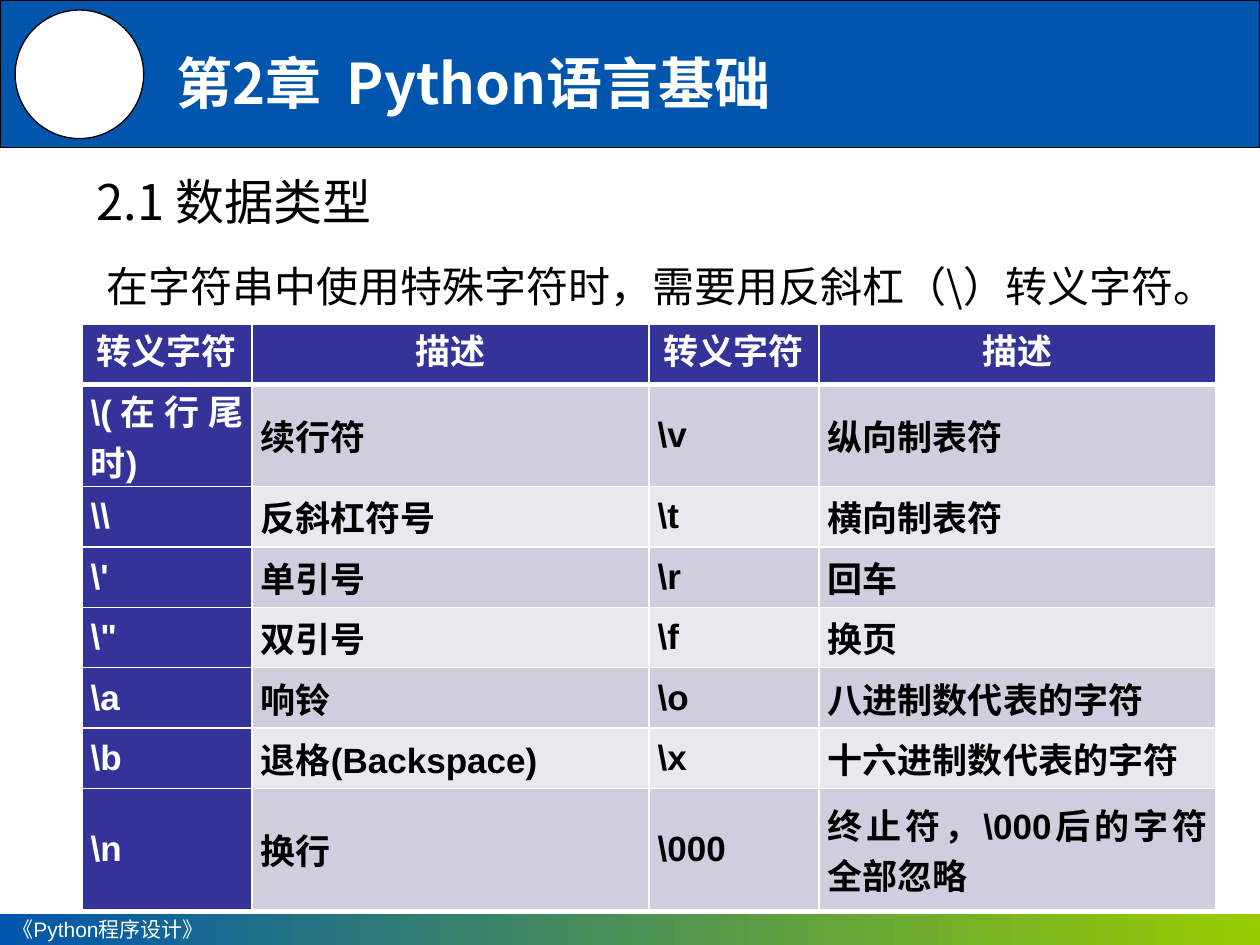
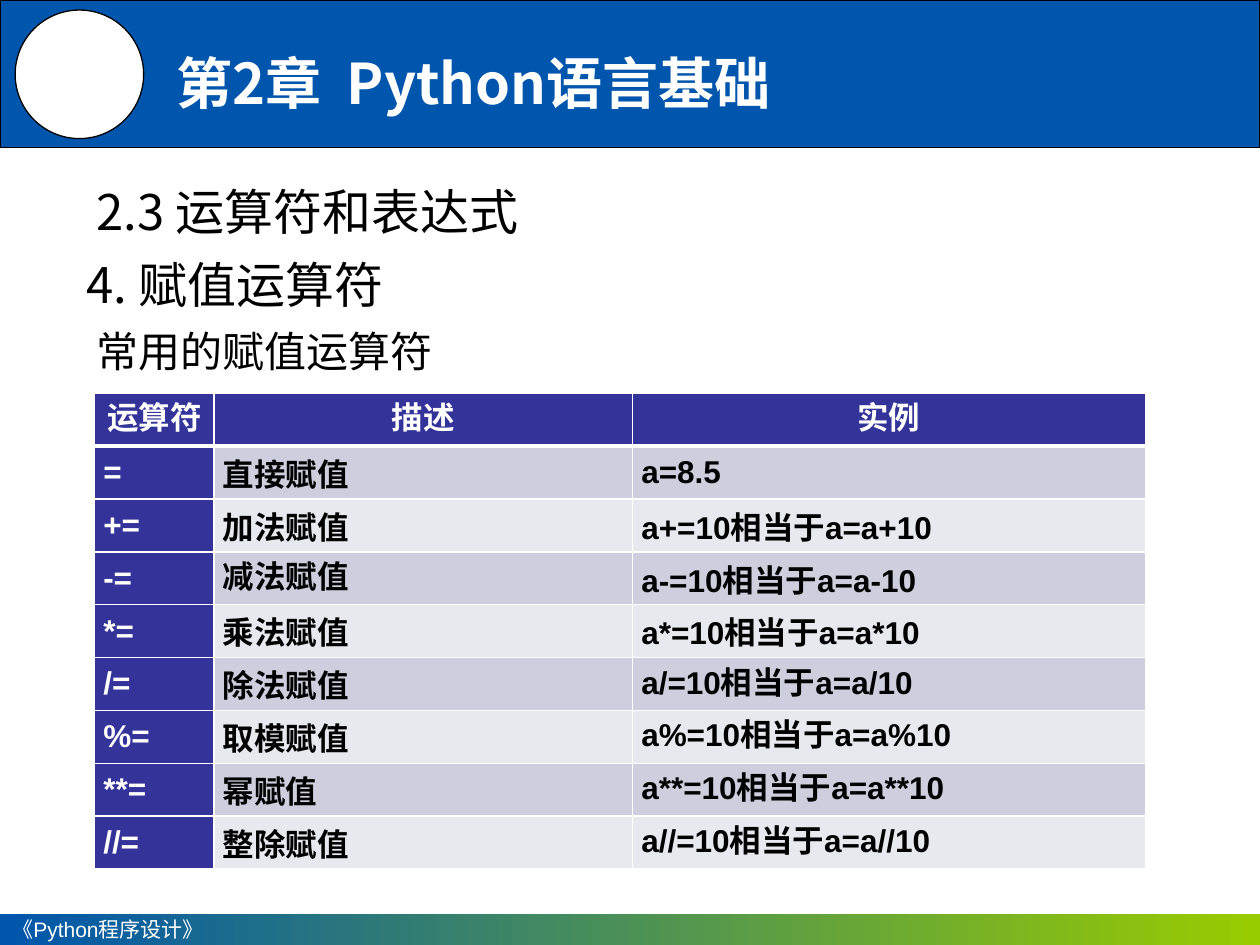
from dataclasses import dataclass

from lxml import etree
from pptx import Presentation
from pptx.dml.color import RGBColor
from pptx.enum.shapes import MSO_SHAPE
from pptx.enum.text import MSO_ANCHOR, PP_ALIGN
from pptx.oxml.ns import qn
from pptx.util import Inches, Pt

RECT, OVAL = MSO_SHAPE.RECTANGLE, MSO_SHAPE.OVAL
TOP, MIDDLE = MSO_ANCHOR.TOP, MSO_ANCHOR.MIDDLE
LEFT, CENTER, JUSTIFY = PP_ALIGN.LEFT, PP_ALIGN.CENTER, PP_ALIGN.JUSTIFY


@dataclass(frozen=True)
class Theme:
    blue: str = "0056AC"
    green: str = "99CC00"
    head: str = "333399"
    bands: tuple = ("E8E8EF", "CECEDE")
    white: str = "FFFFFF"
    black: str = "000000"
    sans: str = "Noto Sans CJK SC"
    latin: str = "Arial"
    title: int = 32
    topic: int = 28
    body: int = 24
    large: int = 20
    small: int = 18
    foot: int = 12


THEME = Theme()

ESCAPES = [
    ("转义字符", "描述", "转义字符", "描述"),
    ("\\(在行尾时)", "续行符", "\\v", "纵向制表符"),
    ("\\\\", "反斜杠符号", "\\t", "横向制表符"),
    ("\\'", "单引号", "\\r", "回车"),
    ('\\"', "双引号", "\\f", "换页"),
    ("\\a", "响铃", "\\o", "八进制数代表的字符"),
    ("\\b", "退格(Backspace)", "\\x", "十六进制数代表的字符"),
    ("\\n", "换行", "\\000", "终止符，\\000后的字符全部忽略"),
]

ASSIGNS = [
    ("运算符", "描述", "实例"),
    ("=", "直接赋值", "a=8.5"),
    ("+=", "加法赋值", "a+=10相当于a=a+10"),
    ("-=", "减法赋值", "a-=10相当于a=a-10"),
    ("*=", "乘法赋值", "a*=10相当于a=a*10"),
    ("/=", "除法赋值", "a/=10相当于a=a/10"),
    ("%=", "取模赋值", "a%=10相当于a=a%10"),
    ("**=", "幂赋值", "a**=10相当于a=a**10"),
    ("//=", "整除赋值", "a//=10相当于a=a//10"),
]
RAISED = {(3, 1), (5, 2), (6, 2), (7, 2), (8, 2)}


def color(code):
    return RGBColor.from_string(code)


def write(frame, text, size, ink, face=THEME.sans, bold=False,
          align=LEFT, pitch=None):
    para = frame.paragraphs[0]
    para.text = text
    para.alignment = align
    if pitch:
        para.line_spacing = pitch
    font = para.font
    font.name, font.size, font.bold = face, Pt(size), bold
    font.color.rgb = color(ink)
    props = para._p.pPr.find(qn("a:defRPr"))
    etree.SubElement(props, qn("a:ea")).set("typeface", THEME.sans)


def add_shape(slide, kind, box, fill):
    shape = slide.shapes.add_shape(kind, *map(Inches, box))
    shape.shadow.inherit = False
    shape.fill.solid()
    shape.fill.fore_color.rgb = color(fill)
    shape.line.color.rgb = color(THEME.black)
    shape.line.width = Pt(0.75)
    return shape


def add_text(slide, box, text, size, ink=THEME.black, anchor=TOP, **style):
    frame = slide.shapes.add_textbox(*map(Inches, box)).text_frame
    frame.word_wrap = True
    frame.vertical_anchor = anchor
    write(frame, text, size, ink, **style)


def add_footer(slide):
    bar = add_shape(slide, RECT, (0, 7.25, 10, 0.25), THEME.blue)
    bar.line.fill.background()
    bar.fill.gradient()
    bar.fill.gradient_angle = 0
    for stop, code in zip(bar.fill.gradient_stops, (THEME.blue, THEME.green)):
        stop.color.rgb = color(code)
    frame = bar.text_frame
    frame.word_wrap = True
    frame.vertical_anchor = MIDDLE
    write(frame, "《Python程序设计》", THEME.foot, THEME.white, THEME.latin)


def add_page(deck):
    slide = deck.slides.add_slide(deck.slide_layouts[6])
    add_shape(slide, RECT, (0, 0, 10, 1.17), THEME.blue)
    add_footer(slide)
    add_shape(slide, OVAL, (0.12, 0.08, 1.02, 1.02), THEME.white)
    add_text(slide, (1.3, 0.15, 6.46, 1), "第2章  Python语言基础",
             THEME.title, THEME.white, MIDDLE, bold=True)
    return slide


def add_borders(cell, row):
    props = cell._tc.get_or_add_tcPr()
    heavy = {(0, "lnB"), (1, "lnT")}
    for place, side in enumerate(("lnL", "lnR", "lnT", "lnB")):
        line = etree.Element(qn(f"a:{side}"))
        line.set("w", str(Pt(3 if (row, side) in heavy else 1)))
        fill = etree.SubElement(line, qn("a:solidFill"))
        etree.SubElement(fill, qn("a:srgbClr")).set("val", THEME.white)
        props.insert(place, line)


def fill_cell(cell, text, row, col, size, raised):
    dark = row == 0 or col == 0
    cell.margin_left = cell.margin_right = Inches(0.07)
    cell.margin_top = cell.margin_bottom = 0
    cell.vertical_anchor = TOP if row == 0 or (row, col) in raised else MIDDLE
    cell.fill.solid()
    cell.fill.fore_color.rgb = color(THEME.head if dark else THEME.bands[row % 2])
    add_borders(cell, row)
    write(cell.text_frame, text, size, THEME.white if dark else THEME.black,
          THEME.latin, True, JUSTIFY if row else CENTER)


def add_grid(slide, left, top, widths, heights, data, size, raised=()):
    box = map(Inches, (left, top, sum(widths), sum(heights)))
    grid = slide.shapes.add_table(len(data), len(widths), *box).table
    for col, width in zip(grid.columns, widths):
        col.width = Inches(width)
    for row, height in zip(grid.rows, heights):
        row.height = Inches(height)
    for row, texts in enumerate(data):
        for col, text in enumerate(texts):
            fill_cell(grid.cell(row, col), text, row, col, size, raised)


def add_escapes(deck):
    slide = add_page(deck)
    add_text(slide, (0.67, 1.31, 2.68, 0.63), "2.1 数据类型", THEME.topic)
    add_text(slide, (0.75, 1.94, 8.92, 0.63),
             "在字符串中使用特殊字符时，需要用反斜杠（\\）转义字符。",
             THEME.body, pitch=1.2)
    add_grid(slide, 0.65, 2.57, [1.35, 3.15] * 2,
             [0.48, 0.81] + [0.48] * 5 + [0.96], ESCAPES, THEME.large)


def add_assigns(deck):
    slide = add_page(deck)
    add_text(slide, (0.67, 1.39, 3.94, 0.63), "2.3 运算符和表达式", THEME.topic)
    add_text(slide, (0.59, 1.94, 9.13, 0.61), "4. 赋值运算符",
             THEME.topic, pitch=Pt(36))
    add_text(slide, (0.67, 2.41, 7.4, 0.63), "常用的赋值运算符",
             THEME.body, pitch=Pt(38))
    add_grid(slide, 0.75, 3.12, [0.95, 3.32, 4.07], [0.42] * len(ASSIGNS),
             ASSIGNS, THEME.small, RAISED)


def main():
    deck = Presentation()
    deck.slide_width, deck.slide_height = Inches(10), Inches(7.5)
    add_escapes(deck)
    add_assigns(deck)
    deck.save("out.pptx")


if __name__ == "__main__":
    main()
